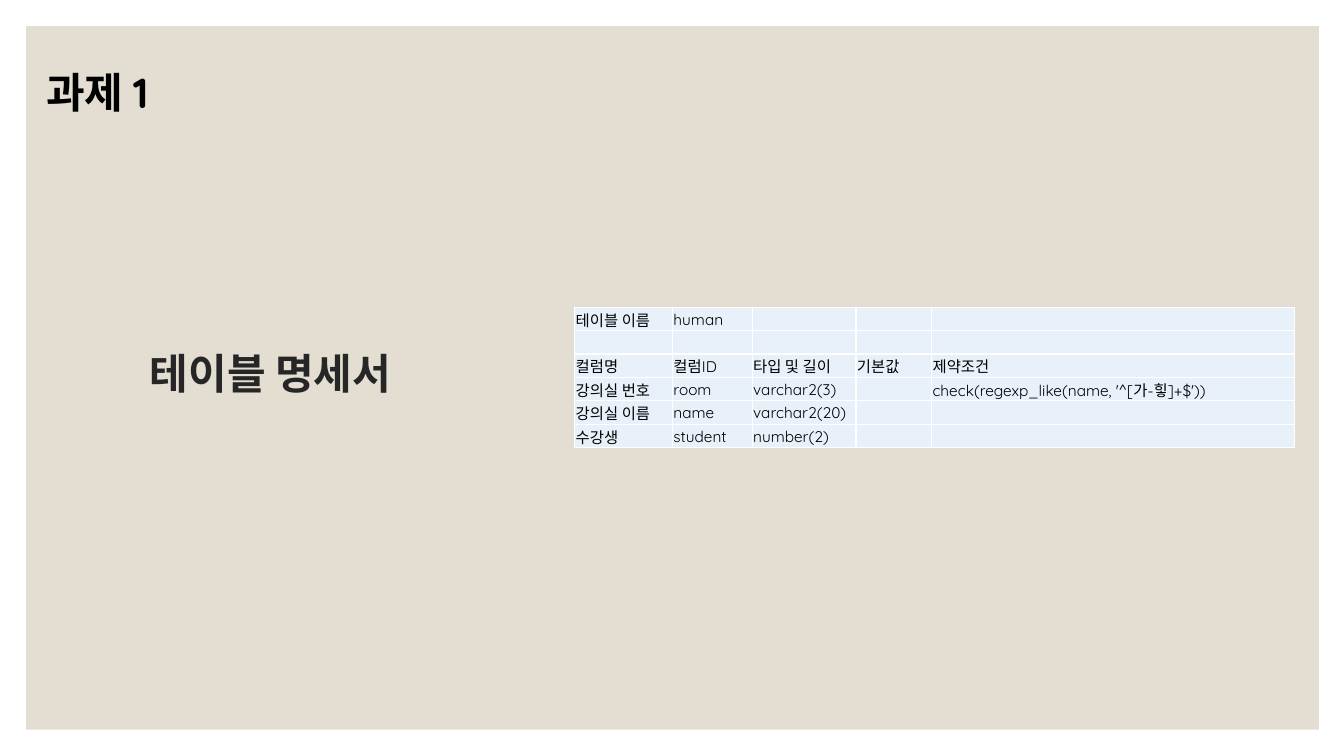
from dataclasses import dataclass

from lxml.etree import SubElement
from pptx import Presentation
from pptx.dml.color import RGBColor
from pptx.enum.shapes import MSO_SHAPE
from pptx.enum.text import MSO_ANCHOR, MSO_AUTO_SIZE, PP_ALIGN
from pptx.oxml.ns import qn
from pptx.util import Inches, Pt


@dataclass(frozen=True)
class Theme:
    panel: str = "E3DED1"
    cell: str = "E8F1FA"
    grid: str = "FFFFFF"
    title: str = "262626"
    ink: str = "000000"
    latin: str = "Quicksand"
    korean: str = "Noto Sans CJK KR"
    heading_size: int = 30
    cell_size: int = 11


class SpecSlide:
    """Build a table specification slide in one theme."""

    def __init__(self, presentation, theme):
        self.theme = theme
        self.slide = presentation.slides.add_slide(presentation.slide_layouts[5])
        self.shapes = self.slide.shapes

    def style(self, paragraph, size, color, latin, bold=False):
        for run in paragraph.runs:
            run.font.size = Pt(size)
            run.font.bold = bold
            run.font.color.rgb = RGBColor.from_string(color)
            run.font.name = latin
            SubElement(run.font._element, qn("a:ea"), typeface=self.theme.korean)

    def panel(self, left, top, width, height):
        panel = self.shapes.add_shape(
            MSO_SHAPE.RECTANGLE, Inches(left), Inches(top), Inches(width), Inches(height))
        panel.shadow.inherit = False
        panel.fill.solid()
        panel.fill.fore_color.rgb = RGBColor.from_string(self.theme.panel)
        panel.line.fill.background()
        self.shapes.title.element.addprevious(panel.element)

    def title(self, text, left, top, width, height):
        title = self.shapes.title
        title.left, title.top = Inches(left), Inches(top)
        title.width, title.height = Inches(width), Inches(height)
        frame = title.text_frame
        frame.text = text
        frame.vertical_anchor = MSO_ANCHOR.MIDDLE
        paragraph = frame.paragraphs[0]
        paragraph.alignment = PP_ALIGN.CENTER
        paragraph.line_spacing = 0.9
        self.style(paragraph, self.theme.heading_size, self.theme.title,
                   self.theme.korean, bold=True)

    def label(self, text, left, top, width, height):
        label = self.shapes.add_textbox(
            Inches(left), Inches(top), Inches(width), Inches(height))
        frame = label.text_frame
        frame.word_wrap = False
        frame.auto_size = MSO_AUTO_SIZE.SHAPE_TO_FIT_TEXT
        frame.text = text
        self.style(frame.paragraphs[0], self.theme.heading_size, self.theme.ink,
                   self.theme.latin, bold=True)

    def cell(self, cell, text):
        cell.margin_left = cell.margin_right = cell.margin_top = Inches(0.01)
        cell.margin_bottom = 0
        cell.vertical_anchor = MSO_ANCHOR.MIDDLE
        cell.text = text
        paragraph = cell.text_frame.paragraphs[0]
        self.style(paragraph, self.theme.cell_size, self.theme.ink, self.theme.latin)
        if not text:
            SubElement(paragraph._p, qn("a:endParaRPr"), sz=str(self.theme.cell_size * 100))
        properties = cell._tc.get_or_add_tcPr()
        for side in "LRTB":
            border = SubElement(properties, qn(f"a:ln{side}"), w=str(Pt(1)))
            SubElement(SubElement(border, qn("a:solidFill")), qn("a:srgbClr"),
                       val=self.theme.grid)
        cell.fill.solid()
        cell.fill.fore_color.rgb = RGBColor.from_string(self.theme.cell)

    def table(self, rows, left, top, widths, row_height):
        table = self.shapes.add_table(
            len(rows), len(widths), Inches(left), Inches(top),
            Inches(sum(widths)), Inches(row_height * len(rows))).table
        for column, width in zip(table.columns, widths):
            column.width = Inches(width)
        for row, texts in zip(table.rows, rows):
            row.height = Inches(row_height)
            for cell, text in zip(row.cells, texts):
                self.cell(cell, text)


def main():
    presentation = Presentation()
    presentation.slide_width, presentation.slide_height = Inches(13.33), Inches(7.5)
    spec = SpecSlide(presentation, Theme())
    spec.panel(0.26, 0.26, 12.82, 6.98)
    spec.title("테이블 명세서", 0.36, 0.61, 4.65, 6.24)
    human_columns = [
        ("테이블 이름", "human", "", "", ""),
        ("", "", "", "", ""),
        ("컬럼명", "컬럼ID", "타입 및 길이", "기본값", "제약조건"),
        ("강의실 번호", "room", "varchar2(3)", "", "check(regexp_like(name, '^[가-힣]+$'))"),
        ("강의실 이름", "name", "varchar2(20)", "", ""),
        ("수강생", "student", "number(2)", "", ""),
    ]
    spec.table(human_columns, 5.7, 3.05, (0.97, 0.79, 1.03, 0.75, 3.6), 0.23)
    spec.label("과제 1", 0.36, 0.61, 1.4, 0.61)
    presentation.save("out.pptx")


if __name__ == "__main__":
    main()
